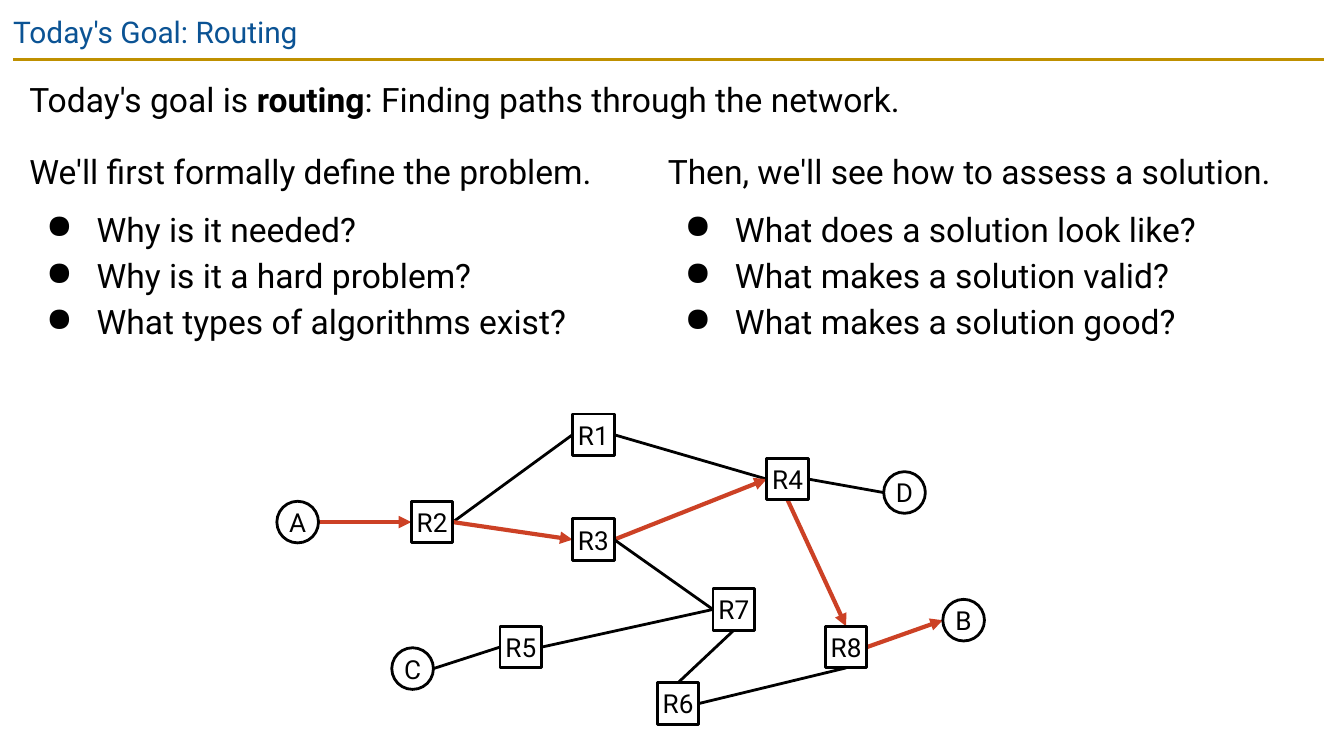
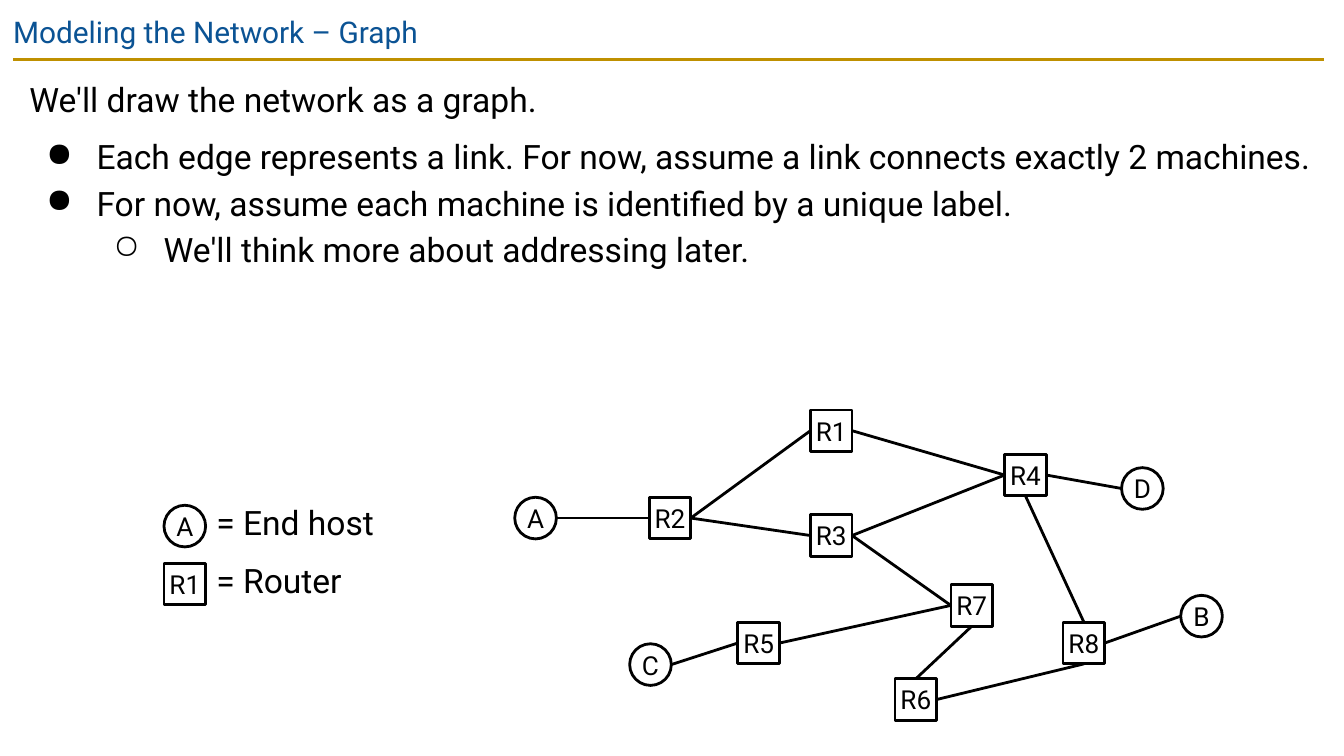
from dataclasses import dataclass

import lxml.etree
import pptx
import pptx.dml.color
import pptx.enum.shapes
import pptx.enum.text
import pptx.oxml.ns
import pptx.presentation
import pptx.shapes.connector
import pptx.slide
import pptx.text.text
import pptx.util

PX = 4572  # 200 px to the inch
FONT = "Roboto"
COLORS = {
    "background": "FFFFFF",
    "title": "0B5394",
    "rule": "BF9000",
    "ink": "000000",
    "route": "CC4125",
}
NODE_SIZE = 62
TEXT_INSET = 20
BULLETS = {1: "●", 2: "○"}
BULLET_INDENT = 100
BULLET_HANG = 75


@dataclass(frozen=True)
class Box:
    left: int
    top: int
    width: int
    height: int


@dataclass(frozen=True)
class Line:
    """A line of text; words between asterisks are bold, level 0 has no bullet."""

    text: str
    level: int = 0


@dataclass(frozen=True)
class Node:
    name: str
    x: int
    y: int

    @property
    def is_router(self) -> bool:
        return self.name.startswith("R")

    def port(self, side: str) -> tuple[int, int]:
        half = NODE_SIZE // 2
        across, down = {
            "left": (0, half),
            "right": (NODE_SIZE, half),
            "top": (half, 0),
            "bottom": (half, NODE_SIZE),
        }[side]
        return self.x + across, self.y + down


@dataclass(frozen=True)
class Link:
    start: str
    end: str
    start_side: str = "right"
    end_side: str = "left"


# Node positions are relative to host A.
NODES = [
    Node("A", 0, 0),
    Node("R1", 440, -130),
    Node("R2", 200, 0),
    Node("R3", 440, 26),
    Node("R4", 729, -64),
    Node("R5", 332, 186),
    Node("R6", 566, 270),
    Node("R7", 649, 130),
    Node("R8", 816, 186),
    Node("B", 991, 146),
    Node("C", 171, 218),
    Node("D", 903, -44),
]
LINKS = [
    Link("A", "R2"),
    Link("R2", "R1"),
    Link("R2", "R3"),
    Link("R1", "R4"),
    Link("R3", "R4"),
    Link("R3", "R7"),
    Link("R5", "R7"),
    Link("C", "R5"),
    Link("R7", "R6", "bottom", "top"),
    Link("R8", "R6", "bottom", "right"),
    Link("R4", "R8", "bottom", "top"),
    Link("R8", "B"),
    Link("R4", "D"),
]


def px(length: int) -> pptx.util.Emu:
    return pptx.util.Emu(length * PX)


def color(name: str) -> pptx.dml.color.RGBColor:
    return pptx.dml.color.RGBColor.from_string(COLORS[name])


def add_child(parent: lxml.etree._Element, tag: str, **attributes: str) -> lxml.etree._Element:
    return lxml.etree.SubElement(parent, pptx.oxml.ns.qn(tag), **attributes)


def format_runs(paragraph: pptx.text.text._Paragraph, size: int, color_name: str) -> None:
    for run in paragraph.runs:
        run.font.name = FONT
        run.font.size = pptx.util.Pt(size)
        run.font.color.rgb = color(color_name)


def set_insets(text_frame: pptx.text.text.TextFrame, inset: int) -> None:
    text_frame.margin_left = text_frame.margin_right = px(inset)
    text_frame.margin_top = text_frame.margin_bottom = px(inset)


def add_text_frame(
    slide: pptx.slide.Slide, box: Box, inset: int = TEXT_INSET
) -> pptx.text.text.TextFrame:
    shape = slide.shapes.add_textbox(px(box.left), px(box.top), px(box.width), px(box.height))
    shape.text_frame.word_wrap = True
    set_insets(shape.text_frame, inset)
    return shape.text_frame


def add_bullet(paragraph: pptx.text.text._Paragraph, level: int) -> None:
    paragraph.level = level - 1
    properties = paragraph._p.get_or_add_pPr()
    properties.set("marL", str(px(BULLET_INDENT * level)))
    properties.set("indent", str(px(-BULLET_HANG)))
    bullet_color = add_child(properties, "a:buClr")
    add_child(bullet_color, "a:srgbClr", val=COLORS["ink"])
    add_child(properties, "a:buChar", char=BULLETS[level])


def add_body(
    slide: pptx.slide.Slide, box: Box, lines: list[Line], inset: int = TEXT_INSET
) -> None:
    text_frame = add_text_frame(slide, box, inset)
    previous_level = 0
    for index, line in enumerate(lines):
        paragraph = text_frame.add_paragraph() if index else text_frame.paragraphs[0]
        for part, text in enumerate(line.text.split("*")):
            run = paragraph.add_run()
            run.text = text
            run.font.bold = part % 2 == 1
        format_runs(paragraph, 18, "ink")
        paragraph.line_spacing = 1.15
        starts_block = line.level == 0 or previous_level == 0
        paragraph.space_before = pptx.util.Pt(6 if starts_block else 0)
        if line.level:
            add_bullet(paragraph, line.level)
        previous_level = line.level


def add_line(
    slide: pptx.slide.Slide,
    start: tuple[int, int],
    end: tuple[int, int],
    color_name: str,
    width: float = 1.5,
) -> pptx.shapes.connector.Connector:
    connector = slide.shapes.add_connector(
        pptx.enum.shapes.MSO_CONNECTOR.STRAIGHT, *map(px, start + end)
    )
    connector.line.color.rgb = color(color_name)
    connector.line.width = pptx.util.Pt(width)
    add_child(connector._element.spPr, "a:effectLst")
    return connector


def add_arrow(slide: pptx.slide.Slide, start: tuple[int, int], end: tuple[int, int]) -> None:
    arrow = add_line(slide, start, end, "route", 2.25)
    add_child(arrow.line._get_or_add_ln(), "a:tailEnd", type="triangle")


def add_node(slide: pptx.slide.Slide, node: Node) -> None:
    shape_types = pptx.enum.shapes.MSO_SHAPE
    shape = slide.shapes.add_shape(
        shape_types.RECTANGLE if node.is_router else shape_types.OVAL,
        px(node.x), px(node.y), px(NODE_SIZE), px(NODE_SIZE),
    )
    shape.shadow.inherit = False
    shape.fill.solid()
    shape.fill.fore_color.rgb = color("background")
    shape.line.color.rgb = color("ink")
    shape.line.width = pptx.util.Pt(1.5)
    text_frame = shape.text_frame
    set_insets(text_frame, 0)
    text_frame.vertical_anchor = pptx.enum.text.MSO_ANCHOR.MIDDLE
    text_frame.text = node.name
    paragraph = text_frame.paragraphs[0]
    paragraph.alignment = pptx.enum.text.PP_ALIGN.CENTER
    format_runs(paragraph, 14, "ink")


def add_network(
    slide: pptx.slide.Slide, left: int, top: int, route: tuple[str, ...] = ()
) -> None:
    """Draw the graph with host A at (left, top) and arrows along the route."""
    nodes = {node.name: Node(node.name, left + node.x, top + node.y) for node in NODES}
    hops = set(zip(route, route[1:]))
    for link in LINKS:
        start = nodes[link.start].port(link.start_side)
        end = nodes[link.end].port(link.end_side)
        if (link.start, link.end) in hops:
            add_arrow(slide, start, end)
        else:
            add_line(slide, start, end, "ink")
    for node in nodes.values():
        add_node(slide, node)


def add_titled_slide(
    presentation: pptx.presentation.Presentation, title: str
) -> pptx.slide.Slide:
    slide = presentation.slides.add_slide(presentation.slide_layouts[6])
    slide.background.fill.solid()
    slide.background.fill.fore_color.rgb = color("background")
    add_line(slide, (20, 88), (1970, 88), "rule")
    text_frame = add_text_frame(slide, Box(0, 0, 2000, 86))
    text_frame.text = title
    format_runs(text_frame.paragraphs[0], 16, "title")
    return slide


def build_goal_slide(presentation: pptx.presentation.Presentation) -> None:
    slide = add_titled_slide(presentation, "Today's Goal: Routing")
    add_body(
        slide,
        Box(24, 88, 1948, 130),
        [Line("Today's goal is *routing*: Finding paths through the network.")],
    )
    columns = [
        [
            Line("We'll first formally define the problem."),
            Line("Why is it needed?", 1),
            Line("Why is it a hard problem?", 1),
            Line("What types of algorithms exist?", 1),
        ],
        [
            Line("Then, we'll see how to assess a solution."),
            Line("What does a solution look like?", 1),
            Line("What makes a solution valid?", 1),
            Line("What makes a solution good?", 1),
        ],
    ]
    for index, lines in enumerate(columns):
        add_body(slide, Box(24 + 950 * index, 196, 942, 326), lines)
    add_network(slide, 412, 746, route=("A", "R2", "R3", "R4", "R8", "B"))


def build_graph_slide(presentation: pptx.presentation.Presentation) -> None:
    slide = add_titled_slide(presentation, "Modeling the Network – Graph")
    add_body(
        slide,
        Box(24, 88, 1948, 468),
        [
            Line("We'll draw the network as a graph."),
            Line("Each edge represents a link. For now, assume a link connects exactly 2 machines.", 1),
            Line("For now, assume each machine is identified by a unique label.", 1),
            Line("We'll think more about addressing later.", 2),
        ],
    )
    add_network(slide, 766, 740)
    for legend_node in (Node("A", 244, 752), Node("R1", 244, 838)):
        add_node(slide, legend_node)
    add_body(slide, Box(322, 738, 268, 188), [Line("= End host"), Line("= Router")], inset=0)


def main() -> None:
    presentation = pptx.Presentation()
    presentation.slide_width = px(2000)
    presentation.slide_height = px(1125)
    build_goal_slide(presentation)
    build_graph_slide(presentation)
    presentation.save("out.pptx")


if __name__ == "__main__":
    main()
